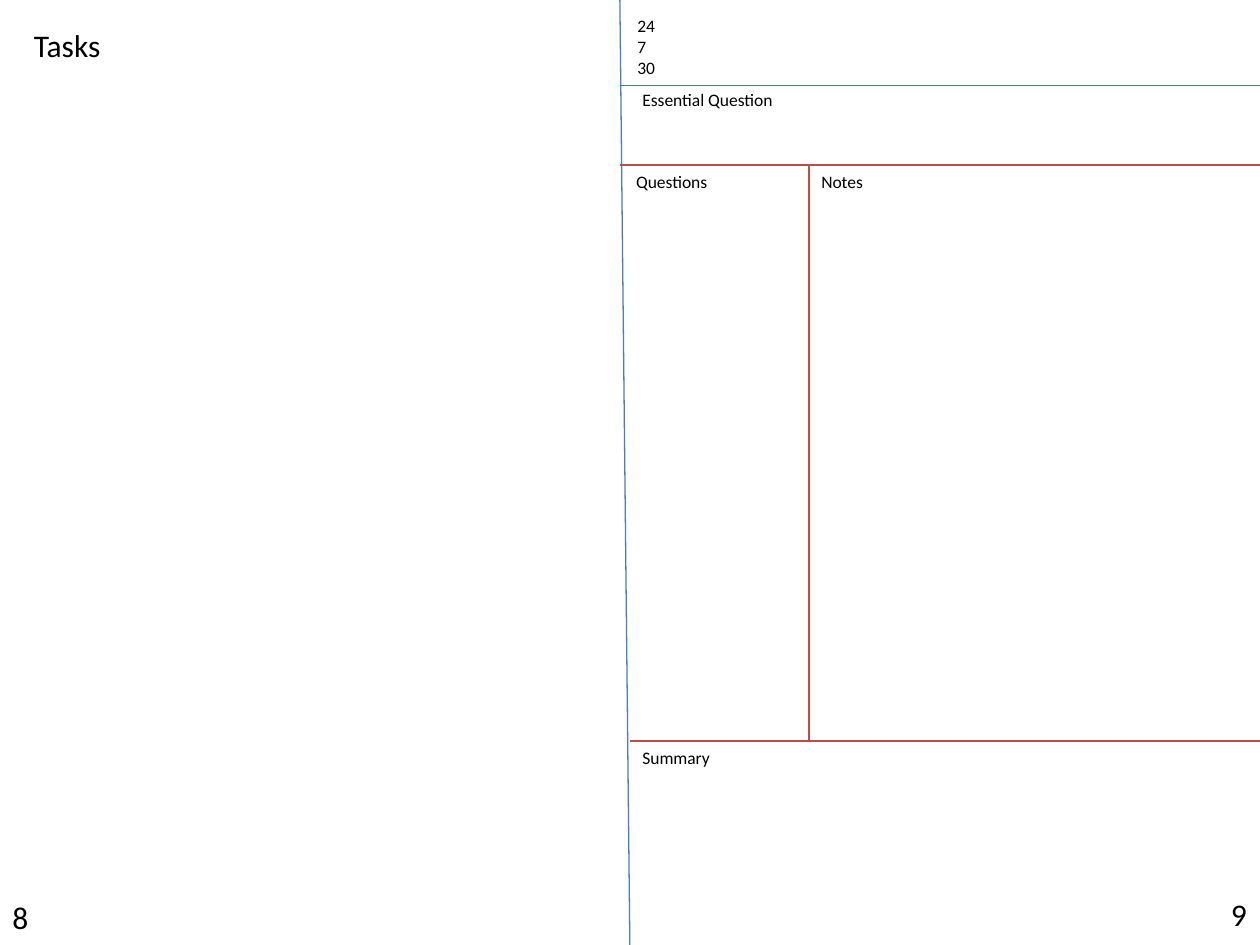
from dataclasses import dataclass
from lxml.etree import SubElement
from pptx import Presentation
from pptx.dml.color import RGBColor as Rgb
from pptx.enum.shapes import MSO_CONNECTOR as Link
from pptx.enum.text import MSO_AUTO_SIZE as Fit
from pptx.oxml.ns import qn
from pptx.util import Inches, Pt


@dataclass(frozen=True)
class Theme:
    font: str = "Calibri"
    ink: str = "000000"
    blue: str = "4B7EBC"
    red: str = "BF4C48"
    small: int = 10
    large: int = 18
    rule: float = 0.75


THEME = Theme()
FOLD, INNER, SPLIT, EDGE = 4.92, 5, 6.42, 10
HEAD, TOP, BASE = 0.68, 1.31, 5.88

RULES = [
    (FOLD, 0, INNER, 7.61, THEME.blue),
    (FOLD, HEAD, EDGE, HEAD, THEME.red),
    (FOLD, TOP, EDGE, TOP, THEME.red),
    (INNER, BASE, 10.17, BASE, THEME.red),
    (SPLIT, TOP, SPLIT, BASE, THEME.red),
]

DATES = ["24", "7", "30"]
LABELS = [
    (["Essential Question"], INNER, 0.66, 1.25, THEME.small),
    (["Notes"], SPLIT, TOP, 0.54, THEME.small),
    (["Questions"], 4.95, TOP, 0.78, THEME.small),
    (["Summary"], INNER, BASE, 0.74, THEME.small),
    (["Tasks"], 0.17, 0.16, 0.73, THEME.large),
    (["8"], 0, 7.08, 0.33, THEME.large),
    (["9"], 9.67, 7.05, 0.33, THEME.large),
]


def add_rule(slide, x1, y1, x2, y2, color):
    ends = [Inches(n) for n in (x1, y1, x2, y2)]
    rule = slide.shapes.add_connector(Link.STRAIGHT, *ends)
    rule.line.color.rgb = Rgb.from_string(color)
    rule.line.width = Pt(THEME.rule)
    SubElement(rule._element.spPr, qn("a:effectLst"))


def add_label(slide, lines, left, top, width, size, wrap=False):
    high = 0.1 + len(lines) * size * 0.017
    area = [Inches(n) for n in (left, top, width, high)]
    frame = slide.shapes.add_textbox(*area).text_frame
    frame.word_wrap = wrap
    frame.auto_size = Fit.SHAPE_TO_FIT_TEXT
    frame.text = "\n".join(lines)
    for para in frame.paragraphs:
        para.font.name = THEME.font
        para.font.size = Pt(size)
        para.font.color.rgb = Rgb.from_string(THEME.ink)


def main():
    deck = Presentation()
    deck.slide_width, deck.slide_height = Inches(10), Inches(7.5)
    slide = deck.slides.add_slide(deck.slide_layouts[6])
    for rule in RULES:
        add_rule(slide, *rule)
    add_label(slide, DATES, 4.96, 0.07, 0.47, THEME.small, wrap=True)
    for label in LABELS:
        add_label(slide, *label)
    deck.save("out.pptx")


if __name__ == "__main__":
    main()
